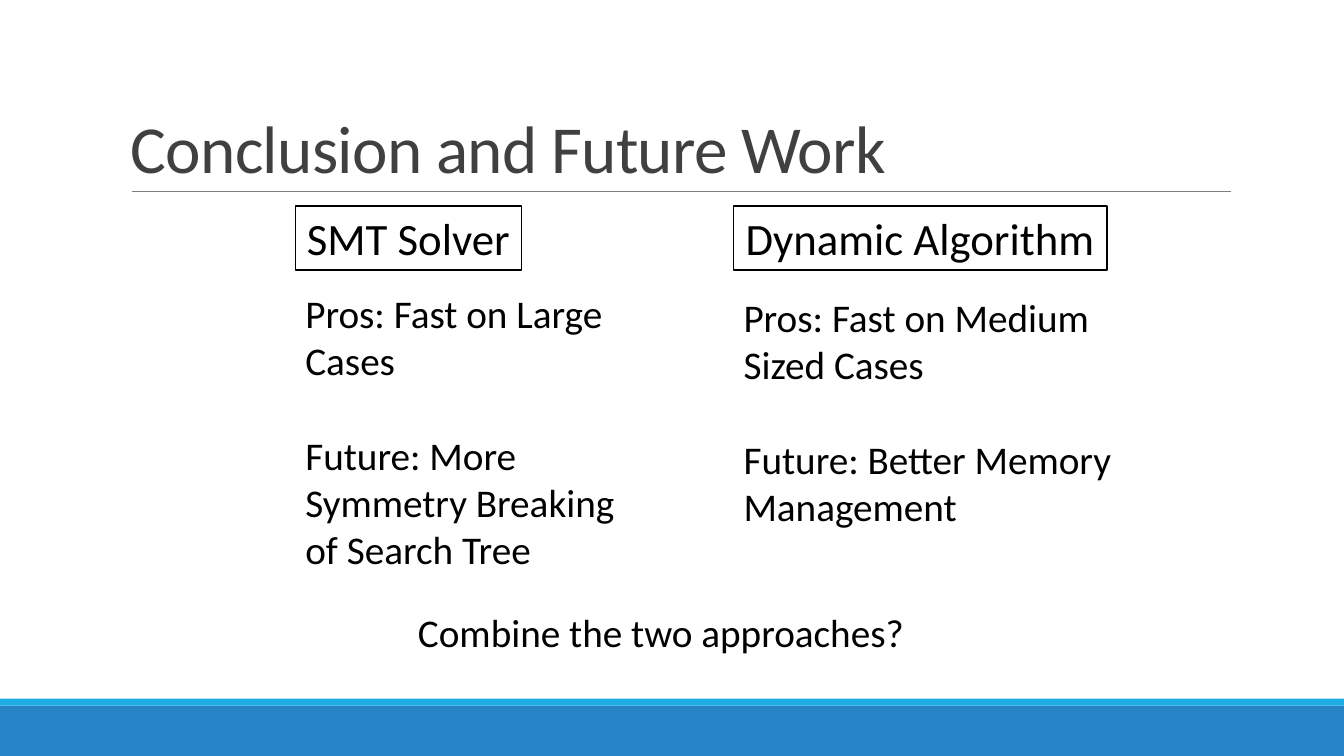
from lxml.etree import SubElement
from pptx import Presentation
from pptx.dml.color import RGBColor
from pptx.enum.shapes import MSO_CONNECTOR as Connector, MSO_SHAPE as Shape
from pptx.enum.text import MSO_ANCHOR as Anchor, MSO_AUTO_SIZE as AutoSize, PP_ALIGN as Align
from pptx.oxml.ns import qn
from pptx.util import Pt

WIDTH, HEIGHT = 960, 540
TITLE = "Conclusion and Future Work"
CLOSING = "Combine the two approaches?"
# left, heading, heading width, body top, body size, body paragraphs
APPROACHES = [
    (211, "SMT Solver", 161.5, 203, (240, 211),
     ["Pros: Fast on Large Cases", "Future: More Symmetry Breaking of Search Tree"]),
    (524, "Dynamic Algorithm", 266.5, 206, (279, 177),
     ["Pros: Fast on Medium Sized Cases", "Future: Better Memory Management"]),
]
# top, height, colour
BARS = [(504, 36, "2683C6"), (499, 5, "1CADE4")]
HEADING_TOP, HEADING_HEIGHT = 147, 46
BODY_GAP = 34

TITLE_FONT = {"name": "Calibri", "size": Pt(48)}
HEADING_FONT = {"name": "Calibri", "size": Pt(32)}
BODY_FONT = {"name": "Calibri", "size": Pt(28)}


def rgb(value):
    return RGBColor.from_string(value)


def add_box(slide, left, top, width, height, fill, line=None):
    shape = slide.shapes.add_shape(Shape.RECTANGLE, Pt(left), Pt(top), Pt(width), Pt(height))
    shape.shadow.inherit = False
    shape.fill.solid()
    shape.fill.fore_color.rgb = rgb(fill)
    if line:
        shape.line.color.rgb = rgb(line)
        shape.line.width = Pt(1.25)
    else:
        shape.line.fill.background()
    return shape


def write(shape, lines, font, color="000000", gap=0, **frame_format):
    """Fill the shape with one paragraph per line and return the paragraphs."""
    frame = shape.text_frame
    for name, value in {"word_wrap": True, **frame_format}.items():
        setattr(frame, name, value)
    frame.text = "\n".join(lines)
    for index, paragraph in enumerate(frame.paragraphs):
        paragraph.space_before = Pt(gap if index else 0)
        run_font = paragraph.runs[0].font
        for name, value in font.items():
            setattr(run_font, name, value)
        run_font.color.rgb = rgb(color)
    return frame.paragraphs


def add_text(slide, left, top, width, height, lines, font, **text_format):
    box = slide.shapes.add_textbox(Pt(left), Pt(top), Pt(width), Pt(height))
    return write(box, lines, font, **text_format)


def add_title(slide):
    paragraph = add_text(slide, 86.4, 22.5, 792, 114.5, [TITLE], TITLE_FONT,
                         color="404040", vertical_anchor=Anchor.BOTTOM)[0]
    paragraph.line_spacing = 0.85
    paragraph.runs[0]._r.get_or_add_rPr().set("spc", "-50")

    rule = slide.shapes.add_connector(Connector.STRAIGHT, Pt(94), Pt(136.8), Pt(879), Pt(136.8))
    rule.line.color.rgb = rgb("808080")
    rule.line.width = Pt(0.5)
    SubElement(rule._element.spPr, qn("a:effectLst"))


def add_approach(slide, left, heading, heading_width, body_top, body_size, lines):
    box = add_box(slide, left, HEADING_TOP, heading_width, HEADING_HEIGHT, "FFFFFF", "000000")
    paragraph = write(box, [heading], HEADING_FONT, word_wrap=False,
                      auto_size=AutoSize.SHAPE_TO_FIT_TEXT, vertical_anchor=Anchor.TOP)[0]
    paragraph.alignment = Align.CENTER
    add_text(slide, left, body_top, *body_size, lines, BODY_FONT, gap=BODY_GAP)


def main():
    presentation = Presentation()
    presentation.slide_width, presentation.slide_height = Pt(WIDTH), Pt(HEIGHT)
    slide = presentation.slides.add_slide(presentation.slide_layouts[6])
    for top, height, color in BARS:
        add_box(slide, 0, top, WIDTH, height, color)
    add_title(slide)
    for approach in APPROACHES:
        add_approach(slide, *approach)
    add_text(slide, 291.5, 431, 364.5, 41, [CLOSING], BODY_FONT)
    presentation.save("out.pptx")


if __name__ == "__main__":
    main()
